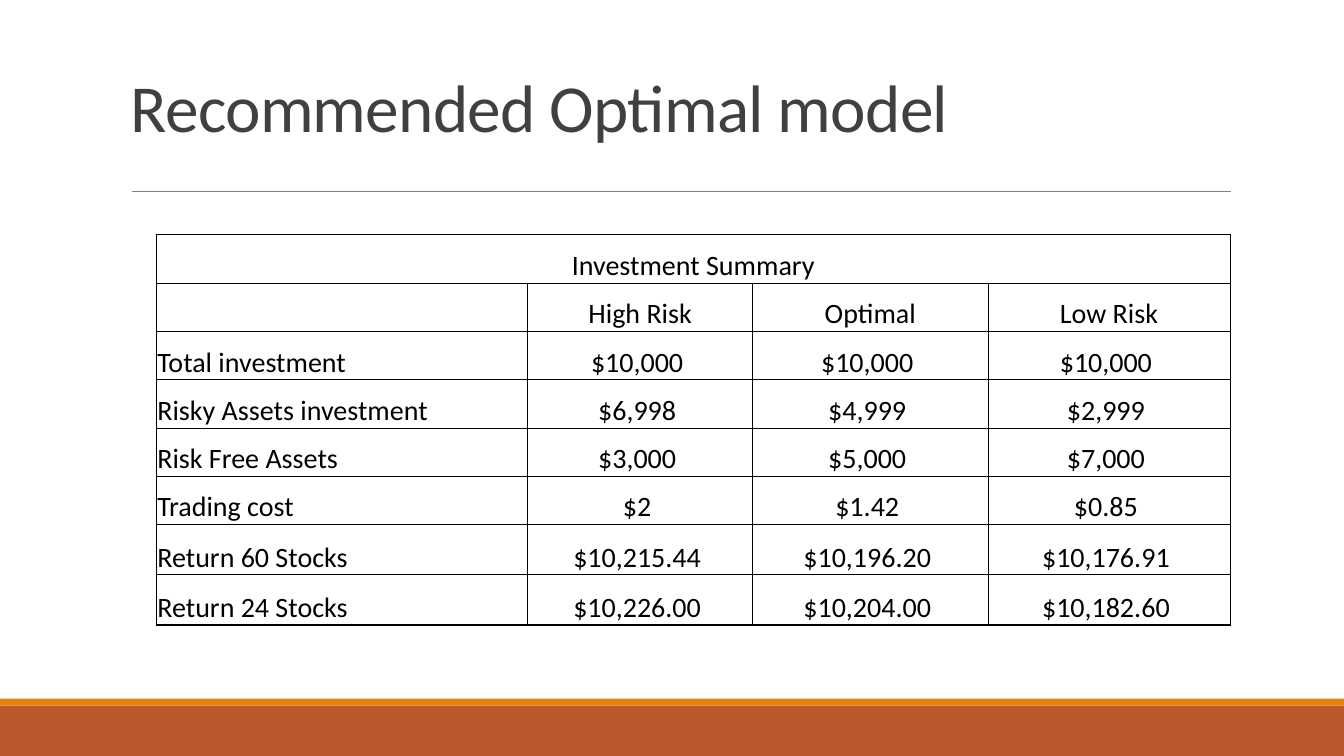
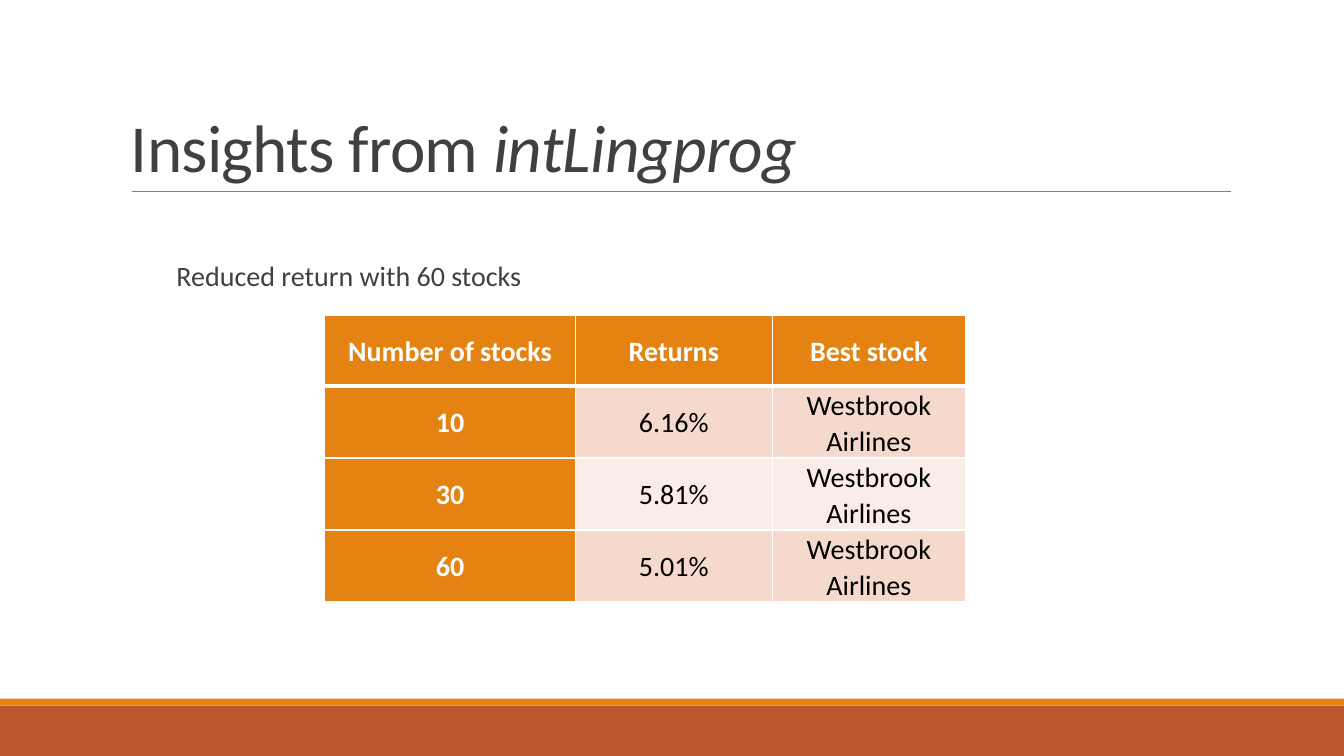
from collections import namedtuple

from lxml.etree import SubElement
from pptx import Presentation
from pptx.dml.color import RGBColor
from pptx.enum.shapes import MSO_CONNECTOR as Connector, MSO_SHAPE as Shape
from pptx.enum.text import MSO_ANCHOR as Anchor, PP_ALIGN as Align
from pptx.oxml.ns import qn
from pptx.util import Inches, Pt

COLORS = {
    "band": "BD582C",
    "accent": "E48312",
    "rule": "808080",
    "heading": "404040",
    "ink": "000000",
    "paper": "FFFFFF",
    "tint": "F5D9CC",
    "pale": "FAEDE7",
}
FONT = "Calibri"
BODY_SIZE = 20
WIDTH, HEIGHT = Inches(13.33), Inches(7.5)

Box = namedtuple("Box", "left top width height")

SUMMARY = [
    ["Investment Summary", "", "", ""],
    ["", "High Risk", "Optimal", "Low Risk"],
    ["Total investment", "$10,000", "$10,000", "$10,000"],
    ["Risky Assets investment", "$6,998", "$4,999", "$2,999"],
    ["Risk Free Assets", "$3,000", "$5,000", "$7,000"],
    ["Trading cost", "$2", "$1.42", "$0.85"],
    ["Return 60 Stocks", "$10,215.44", "$10,196.20", "$10,176.91"],
    ["Return 24 Stocks", "$10,226.00", "$10,204.00", "$10,182.60"],
]
RETURNS = [
    ["Number of stocks", "Returns", "Best stock"],
    ["10", "6.16%", "Westbrook Airlines"],
    ["30", "5.81%", "Westbrook Airlines"],
    ["60", "5.01%", "Westbrook Airlines"],
]


def place(left, top, width, height):
    """Turn percentages of the slide's size into a box."""
    return Box(int(WIDTH * left / 100), int(HEIGHT * top / 100),
               int(WIDTH * width / 100), int(HEIGHT * height / 100))


def color(name):
    """Look up a shared colour."""
    return RGBColor.from_string(COLORS[name])


def add_run(paragraph, text, size=BODY_SIZE, ink="heading", bold=False, italic=False):
    """Append one formatted run and return it."""
    run = paragraph.add_run()
    run.text = text
    font = run.font
    font.name, font.size, font.bold, font.italic = FONT, Pt(size), bold, italic
    font.color.rgb = color(ink)
    return run


def set_margins(owner, left, top, right, bottom):
    """Set the inner margins of a cell or text frame in inches."""
    owner.margin_left, owner.margin_top = Inches(left), Inches(top)
    owner.margin_right, owner.margin_bottom = Inches(right), Inches(bottom)


def add_band(slide, box, fill):
    """Draw one plain footer band."""
    band = slide.shapes.add_shape(Shape.RECTANGLE, *box)
    band.shadow.inherit = False
    band.fill.solid()
    band.fill.fore_color.rgb = color(fill)
    band.line.fill.background()


def add_rule(slide, box):
    """Draw the thin line along the top of a box."""
    rule = slide.shapes.add_connector(
        Connector.STRAIGHT, box.left, box.top, box.left + box.width, box.top)
    rule.line.color.rgb = color("rule")
    rule.line.width = Pt(0.5)
    SubElement(rule._element.spPr, qn("a:effectLst"))


def add_title(slide, box, parts):
    """Write the title from (text, italic) parts at the foot of its box."""
    frame = slide.shapes.add_textbox(*box).text_frame
    frame.word_wrap = True
    frame.vertical_anchor = Anchor.BOTTOM
    paragraph = frame.paragraphs[0]
    paragraph.line_spacing = 0.85
    for text, italic in parts:
        run = add_run(paragraph, text, size=48, italic=italic)
        run._r.get_or_add_rPr().set("spc", "-50")


def add_statement(slide, box, text):
    """Write one line of body text."""
    frame = slide.shapes.add_textbox(*box).text_frame
    frame.word_wrap = True
    set_margins(frame, 0, 0.05, 0, 0.05)
    paragraph = frame.paragraphs[0]
    paragraph.line_spacing = 0.9
    add_run(paragraph, text)


def start_slide(deck, title_height, title_parts):
    """Add a slide with the shared bands, rule and title."""
    slide = deck.slides.add_slide(deck.slide_layouts[6])
    add_band(slide, place(0, 93.33, 100, 6.67), "band")
    add_band(slide, place(0, 92.4, 100, 0.93), "accent")
    add_rule(slide, place(9.83, 25.33, 81.77, 0))
    add_title(slide, place(9, 4.13, 82.5, title_height), title_parts)
    return slide


def add_grid(slide, box, column_shares, row_shares):
    """Add an unstyled table divided in the given proportions."""
    grid = slide.shapes.add_table(len(row_shares), len(column_shares), *box).table
    grid.first_row = grid.horz_banding = False
    for column, share in zip(grid.columns, column_shares):
        column.width = int(box.width * share / sum(column_shares))
    for row, share in zip(grid.rows, row_shares):
        row.height = int(box.height * share / sum(row_shares))
    return grid


def set_borders(cell, ink, left, right, top, bottom):
    """Draw the four cell borders with widths in points."""
    properties = cell._tc.get_or_add_tcPr()
    for side, width in zip("LRTB", (left, right, top, bottom)):
        border = SubElement(properties, qn(f"a:ln{side}"), w=str(Pt(width)))
        fill = SubElement(border, qn("a:solidFill"))
        SubElement(fill, qn("a:srgbClr"), val=COLORS[ink])


def add_summary(slide, box):
    """Build the outlined investment summary."""
    grid = add_grid(slide, box, (368, 223, 233, 240), [48] * 6 + [50] * 2)
    last_row, last_column = len(SUMMARY) - 1, len(SUMMARY[0]) - 1
    for r, entries in enumerate(SUMMARY):
        for c, text in enumerate(entries):
            cell = grid.cell(r, c)
            edges = (c == 0, c == last_column, r == 0, r == last_row)
            set_borders(cell, "ink", *(1 if outer else 0.5 for outer in edges))
            cell.fill.background()
            cell.vertical_anchor = Anchor.BOTTOM
            is_value = r > 1 and c > 0
            set_margins(cell, 0.01, 0.01, 0.07 if is_value else 0.01, 0)
            paragraph = cell.text_frame.paragraphs[0]
            paragraph.alignment = Align.LEFT if r > 1 and c == 0 else Align.CENTER
            if text:
                add_run(paragraph, text, ink="ink")
    grid.cell(0, 0).merge(grid.cell(0, last_column))


def add_returns(slide, box):
    """Build the banded table of returns with header row and column."""
    grid = add_grid(slide, box, (249, 195, 192), [1] * len(RETURNS))
    for r, entries in enumerate(RETURNS):
        for c, text in enumerate(entries):
            cell = grid.cell(r, c)
            is_header = r == 0 or c == 0
            set_borders(cell, "paper", 1, 1, 3 if r == 1 else 1, 3 if r == 0 else 1)
            cell.fill.solid()
            cell.fill.fore_color.rgb = color(
                "accent" if is_header else "tint" if r % 2 else "pale")
            cell.vertical_anchor = Anchor.MIDDLE
            set_margins(cell, 0.07, 0, 0.07, 0)
            paragraph = cell.text_frame.paragraphs[0]
            paragraph.alignment = Align.CENTER
            paragraph.line_spacing = 1.07
            add_run(paragraph, text, ink="paper" if is_header else "ink", bold=is_header)


def build_model_slide(deck):
    """Build the slide on the recommended model."""
    slide = start_slide(deck, 15.87, [("Recommended Optimal model", False)])
    add_summary(slide, place(11.63, 31.07, 79.9, 51.6))


def build_insights_slide(deck):
    """Build the slide on returns by number of stocks."""
    slide = start_slide(deck, 21.2, [("Insights from ", False), ("intLingprog", True)])
    add_statement(slide, place(13.13, 34, 78.4, 6), "Reduced return with 60 stocks")
    add_returns(slide, place(24.15, 41.73, 47.7, 37.33))


def main():
    """Build and save the deck."""
    deck = Presentation()
    deck.slide_width, deck.slide_height = WIDTH, HEIGHT
    build_model_slide(deck)
    build_insights_slide(deck)
    deck.save("out.pptx")


if __name__ == "__main__":
    main()
